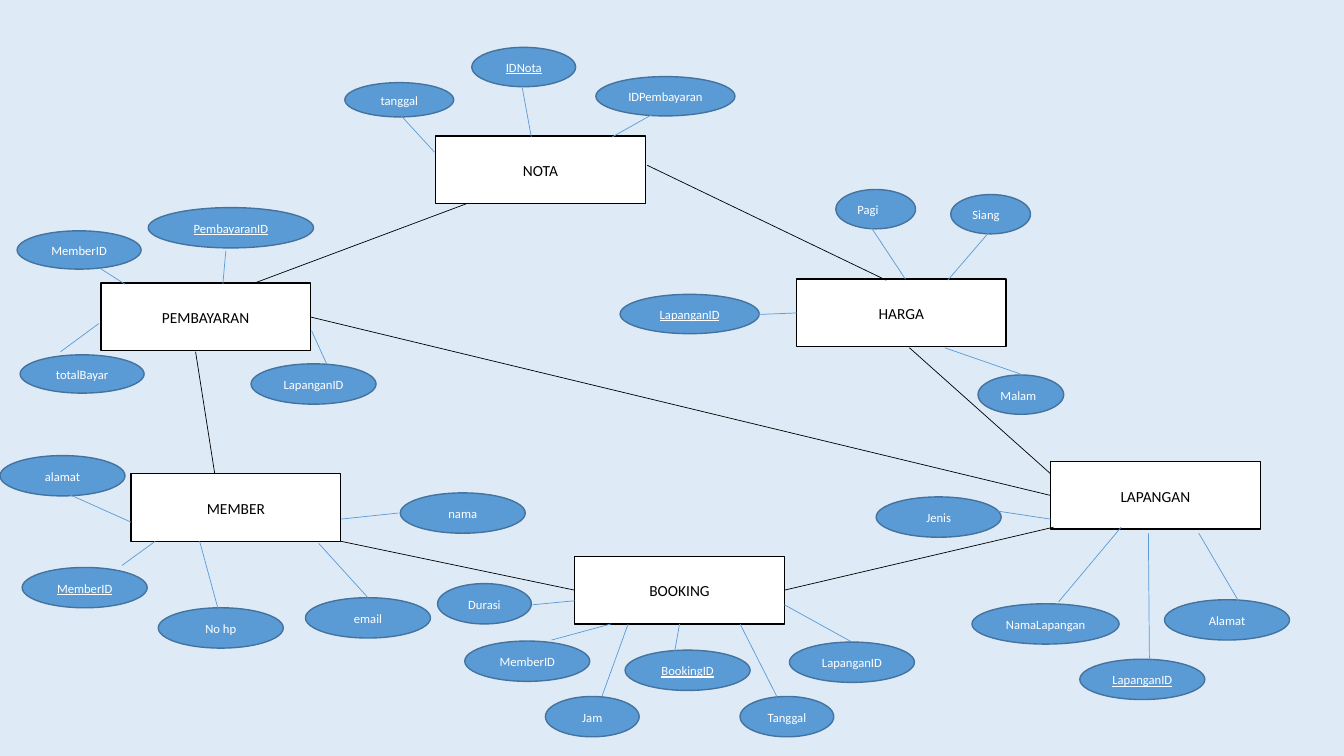
"""Build an entity relationship diagram slide for a sports field booking system."""
import math

import pptx
import pptx.dml.color
import pptx.enum.shapes
import pptx.enum.text
import pptx.util
from pptx.util import Inches

COLORS = {"background": "DEEBF7", "entity": "FFFFFF", "ink": "000000",
          "attribute": "5B9BD5", "outline": "43739E", "label": "FFFFFF"}
FONT = "Calibri"
ENTITY_SIZE = (2.08, 0.67)
SNAP = 0.03

ENTITIES = {
    "BOOKING": (5.7, 5.52),
    "MEMBER": (1.3, 4.7),
    "PEMBAYARAN": (1, 2.81),
    "NOTA": (4.32, 1.35),
    "LAPANGAN": (10.42, 4.58),
    "HARGA": (7.9, 2.77),
}
RELATIONS = [
    ((4.63, 2.02), (2.52, 2.81)),
    ((1.94, 3.49), (2.13, 4.7)),
    ((6.42, 1.64), (8.79, 2.78)),
    ((3.38, 5.37), (5.7, 5.86)),
    ((10.45, 5.23), (7.78, 5.86)),
    ((3.09, 3.12), (10.42, 4.92)),
    ((9.02, 3.45), (10.42, 4.7)),
]
# Each attribute: label, left, top, width, height, link start, link end.
ATTRIBUTES = {
    "NOTA": [
        ("tanggal", 3.42, 0.82, 1.08, 0.34, (3.98, 1.15), (4.31, 1.51)),
        ("IDNota", 4.68, 0.47, 1.03, 0.39, (5.18, 0.87), (5.27, 1.36)),
        ("IDPembayaran", 5.91, 0.76, 1.38, 0.39, (6.55, 1.09), (6.07, 1.36)),
    ],
    "PEMBAYARAN": [
        ("LapanganID", 2.49, 3.61, 1.24, 0.4, (3.09, 3.28), (3.24, 3.61)),
        ("PembayaranID", 1.47, 2.06, 1.64, 0.4, (2.24, 2.49), (2.21, 2.82)),
        ("totalBayar", 0.2, 3.52, 1.23, 0.38, (0.98, 3.21), (0.6, 3.49)),
        ("MemberID", 0.17, 2.29, 1.23, 0.38, (0.99, 2.66), (1.24, 2.82)),
    ],
    "MEMBER": [
        ("MemberID", 0.22, 5.63, 1.24, 0.4, (1.54, 5.37), (1.21, 5.61)),
        ("No hp", 1.57, 6.03, 1.24, 0.4, (1.98, 5.37), (2.16, 6.03)),
        ("email", 3.03, 5.93, 1.24, 0.4, (3.16, 5.39), (3.65, 5.93)),
        ("alamat", 0, 4.52, 1.24, 0.4, (0.63, 4.88), (1.3, 5.18)),
        ("nama", 3.97, 4.89, 1.24, 0.4, (3.95, 5.09), (3.38, 5.15)),
    ],
    "HARGA": [
        ("LapanganID", 6.15, 2.92, 1.38, 0.39, (7.52, 3.12), (7.89, 3.12)),
        ("Pagi", 8.29, 1.88, 0.79, 0.39, (8.63, 2.24), (8.98, 2.77)),
        ("Siang", 9.43, 1.93, 0.79, 0.39, (9.83, 2.28), (9.4, 2.78)),
        ("Malam", 9.7, 3.72, 0.85, 0.39, (9.37, 3.45), (10.12, 3.71)),
    ],
    "LAPANGAN": [
        ("LapanganID", 10.71, 6.54, 1.24, 0.4, (11.39, 5.29), (11.4, 6.53)),
        ("Alamat", 11.55, 5.95, 1.24, 0.4, (11.89, 5.29), (12.3, 5.99)),
        ("NamaLapangan", 9.64, 5.99, 1.46, 0.4, (11.12, 5.23), (10.5, 5.97)),
        ("Jenis", 8.69, 4.93, 1.24, 0.4, (10.42, 5.15), (9.89, 5.07)),
    ],
    "BOOKING": [
        ("BookingID", 6.2, 6.45, 1.24, 0.4, (6.73, 6.19), (6.67, 6.59)),
        ("MemberID", 4.61, 6.36, 1.24, 0.4, (6.06, 6.19), (5.47, 6.35)),
        ("LapanganID", 7.83, 6.37, 1.24, 0.4, (7.78, 6), (8.45, 6.37)),
        ("Jam", 5.41, 6.91, 0.93, 0.4, (6.23, 6.19), (5.97, 6.91)),
        ("Tanggal", 7.34, 6.91, 0.93, 0.4, (7.34, 6.19), (7.71, 6.92)),
        ("Durasi", 4.34, 5.79, 0.93, 0.4, (5.7, 5.96), (5.28, 6)),
    ],
}
PRIMARY_KEYS = {("NOTA", "IDNota"), ("PEMBAYARAN", "PembayaranID"), ("MEMBER", "MemberID"),
                ("HARGA", "LapanganID"), ("LAPANGAN", "LapanganID"), ("BOOKING", "BookingID")}
LEFT_ALIGNED = {"Pagi", "Siang", "Malam"}


def rgb(name):
    """Return the named colour."""
    return pptx.dml.color.RGBColor.from_string(COLORS[name])


def add_node(page, kind, bounds, label, size, fill, line, ink, key=False):
    """Add one labelled entity or attribute."""
    box = page.shapes.add_shape(kind, *map(Inches, bounds))
    box.shadow.inherit = False
    box.fill.solid()
    box.fill.fore_color.rgb = rgb(fill)
    box.line.color.rgb = rgb(line)
    box.line.width = pptx.util.Pt(1)
    box.text_frame.word_wrap = True
    box.text_frame.vertical_anchor = pptx.enum.text.MSO_ANCHOR.MIDDLE
    para = box.text_frame.paragraphs[0]
    align = pptx.enum.text.PP_ALIGN
    para.alignment = align.LEFT if label in LEFT_ALIGNED else align.CENTER
    para.line_spacing = 1.07
    para.space_after = pptx.util.Pt(8)
    span = para.add_run()
    span.text = label
    span.font.name = FONT
    span.font.size = pptx.util.Pt(size)
    span.font.color.rgb = rgb(ink)
    if key:
        span.font.underline = True
    return box


def side_middles(left, top):
    """Return the middles of an entity's sides in connection site order."""
    width, height = ENTITY_SIZE
    return [(left + width / 2, top), (left, top + height / 2),
            (left + width / 2, top + height), (left + width, top + height / 2)]


def add_link(page, start, end, color, boxes):
    """Add a line and join each end that meets the middle of an entity's side."""
    straight = pptx.enum.shapes.MSO_CONNECTOR.STRAIGHT
    link = page.shapes.add_connector(straight, *map(Inches, start + end))
    link.line.color.rgb = rgb(color)
    link.line.width = pptx.util.Pt(0.5)
    properties = link._element.spPr
    properties.append(properties.makeelement(pptx.oxml.ns.qn("a:effectLst"), {}))
    for point, join in ((start, link.begin_connect), (end, link.end_connect)):
        for name, corner in ENTITIES.items():
            for site, middle in enumerate(side_middles(*corner)):
                if math.dist(point, middle) <= SNAP:
                    join(boxes[name], site)


def main():
    """Draw the diagram and save the deck."""
    deck = pptx.Presentation()
    deck.slide_width, deck.slide_height = Inches(13.33), Inches(7.5)
    page = deck.slides.add_slide(deck.slide_layouts[6])
    page.background.fill.solid()
    page.background.fill.fore_color.rgb = rgb("background")
    shape = pptx.enum.shapes.MSO_SHAPE
    boxes = {name: add_node(page, shape.RECTANGLE, corner + ENTITY_SIZE, name, 11,
                            "entity", "ink", "ink")
             for name, corner in ENTITIES.items()}
    for entity, attributes in ATTRIBUTES.items():
        for label, *bounds, start, end in attributes:
            add_node(page, shape.OVAL, bounds, label, 9, "attribute", "outline", "label",
                     (entity, label) in PRIMARY_KEYS)
            add_link(page, start, end, "attribute", boxes)
    for start, end in RELATIONS:
        add_link(page, start, end, "ink", boxes)
    deck.save("out.pptx")


if __name__ == "__main__":
    main()
